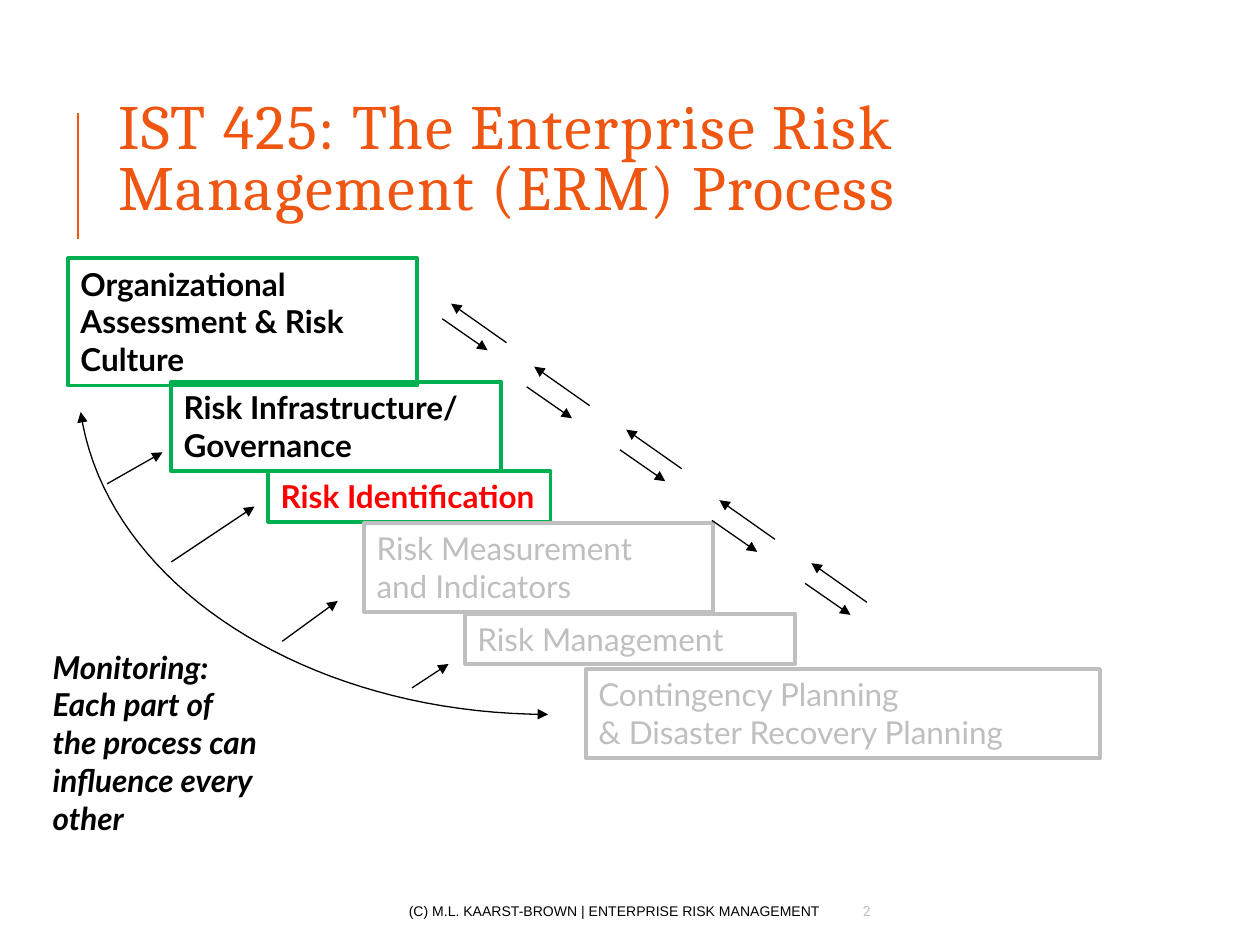
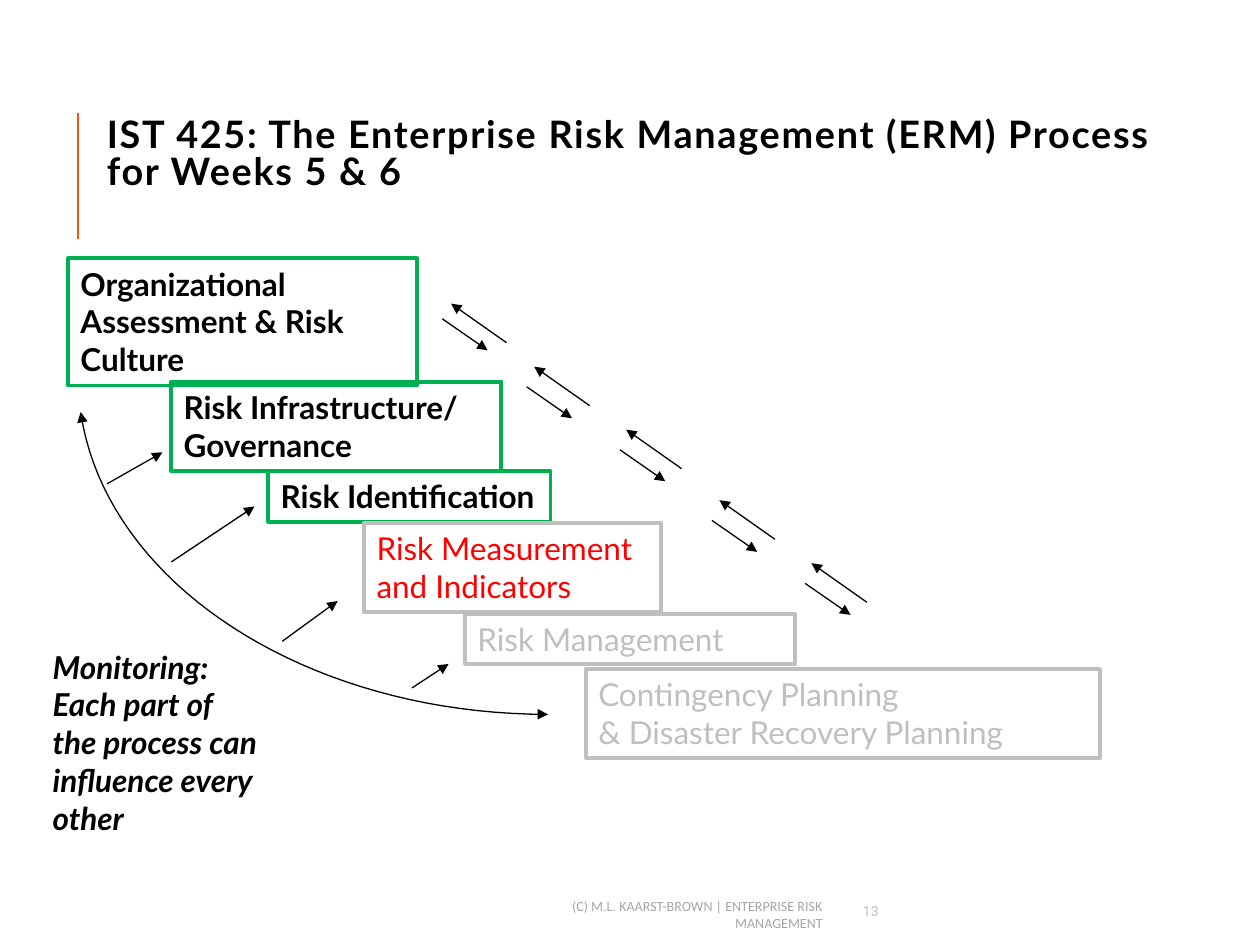
from dataclasses import dataclass
from lxml import etree
from pptx import Presentation, util as u
from pptx.dml.color import RGBColor
from pptx.enum import shapes, text
from pptx.oxml.ns import qn

Inches = u.Inches


@dataclass(frozen=True)
class Theme:
    accent: str = "EE5612"
    ink: str = "000000"
    done: str = "00B050"
    now: str = "FF0000"
    later: str = "BFBFBF"
    mute: str = "A6A6A6"
    body: str = "Lato"
    size: float = 18
    small: float = 8
    rule: float = 1.5
    frame: float = 2.25
    thin: float = 0.75


T = Theme()

STEPS = [
    (["Organizational", "Assessment & Risk Culture"], (0.54, 2.05, 2.77, 1.01)),
    (["Risk Infrastructure/", "Governance"], (1.36, 3.03, 2.62, 0.71)),
    (["Risk Identification"], (2.13, 3.74, 2.24, 0.4)),
    (["Risk Measurement", "and Indicators"], (2.89, 4.15, 2.77, 0.71)),
    (["Risk Management"], (3.69, 4.87, 2.62, 0.4)),
    (["Contingency Planning", "& Disaster Recovery Planning"], (4.65, 5.31, 4.08, 0.71)),
]
DONE = 3
NOTE = "Monitoring: Each part of the process can influence every other"
FOOT = "(C) M.L. KAARST-BROWN | ENTERPRISE RISK MANAGEMENT"
DOWN = [(3.51, 2.53), (4.18, 3.07), (4.92, 3.57), (5.65, 4.13), (6.39, 4.63)]
BACK = [(3.58, 2.41), (4.24, 2.91), (4.97, 3.41), (5.71, 3.97), (6.44, 4.47)]
FALL = (0.36, 0.25)
RISE = (0.44, 0.31)
SPOKES = [
    ((0.85, 3.84), (1.29, 3.59)),
    ((1.36, 4.46), (2.02, 4.02)),
    ((2.24, 5.09), (2.68, 4.77)),
    ((3.27, 5.46), (3.56, 5.27)),
]
CURVE = [(4.35, 5.67), (2.44, 5.67), (0.84, 4.64), (0.64, 3.27)]
BITS = 40

SLIDES = [
    dict(
        title="IST 425: The Enterprise Risk Management (ERM) Process",
        place=(0.84, 0.64, 7.97, 1.29),
        look=dict(size=36, font="Cambria", color=T.accent),
        foot=(1.89, 7.08, 4.72, 0.3),
        type=dict(font="Arial", color=T.ink),
        page="2", now=2, wide={},
    ),
    dict(
        title="IST 425: The Enterprise Risk Management (ERM) Process for Weeks 5 & 6",
        place=(0.75, 0.89, 8.94, 0.7),
        look=dict(size=21.6, bold=True),
        foot=(3.87, 7.08, 2.76, 0.36),
        type=dict(font="Calibri", color=T.mute),
        page="13", now=3, wide={3: 2.36},
    ),
]


def rgb(code):
    return RGBColor.from_string(code)


def write(shape, lines, size=T.size, font=T.body, color=T.ink, bold=False,
          slant=False, mid=False, right=False, lead=None, gap=None, wrap=True):
    frame = shape.text_frame
    frame.text = "\n".join(lines)
    frame.word_wrap = wrap
    frame.vertical_anchor = text.MSO_ANCHOR.MIDDLE if mid else text.MSO_ANCHOR.TOP
    for para in frame.paragraphs:
        para.alignment = text.PP_ALIGN.RIGHT if right else text.PP_ALIGN.LEFT
        if lead:
            para.line_spacing = lead
        for run in para.runs:
            f = run.font
            f.size, f.name, f.bold, f.italic = u.Pt(size), font, bold, slant
            f.color.rgb = rgb(color)
            if gap:
                f._element.set("spc", str(gap * 100))


def label(slide, place, lines, **look):
    box = slide.shapes.add_textbox(*map(Inches, place))
    write(box, lines, **look)


def stroke(shape, color, width, ends=()):
    shape.line.color.rgb = rgb(color)
    shape.line.width = u.Pt(width)
    ln = shape.line._get_or_add_ln()
    for end in ends:
        etree.SubElement(ln, qn(f"a:{end}"), type="triangle")


def link(slide, start, stop, color=T.ink, width=T.thin, ends=("tailEnd",)):
    line = slide.shapes.add_connector(
        shapes.MSO_CONNECTOR.STRAIGHT, *map(Inches, (*start, *stop)))
    stroke(line, color, width, ends)
    etree.SubElement(line._element.spPr, qn("a:effectLst"))


def shift(point, move):
    return point[0] + move[0], point[1] + move[1]


def bend(t):
    s = 1 - t
    parts = (s ** 3, 3 * s * s * t, 3 * s * t * t, t ** 3)
    return tuple(Inches(sum(w * p[i] for w, p in zip(parts, CURVE))) for i in (0, 1))


def sweep(slide):
    path = [bend(i / BITS) for i in range(BITS + 1)]
    pen = slide.shapes.build_freeform(*path[0])
    pen.add_line_segments(path[1:], close=False)
    arc = pen.convert_to_shape()
    arc.fill.background()
    arc.shadow.inherit = False
    stroke(arc, T.ink, T.thin, ("headEnd", "tailEnd"))


def stairs(slide, now, wide):
    for i, (lines, (x, y, w, h)) in enumerate(STEPS):
        done = i < DONE
        edge = T.done if done else T.later
        box = slide.shapes.add_shape(
            shapes.MSO_SHAPE.RECTANGLE, *map(Inches, (x, y, wide.get(i, w), h)))
        box.fill.background()
        box.shadow.inherit = False
        stroke(box, edge, T.frame)
        color = T.now if i == now else T.ink if done else T.later
        write(box, lines, color=color, bold=done, wrap=i < 2)


def build(deck, data):
    slide = deck.slides.add_slide(deck.slide_layouts[6])
    link(slide, (0.62, 1.9), (0.62, 0.9), T.accent, T.rule, ())
    label(slide, data["place"], [data["title"]], mid=True, lead=0.8, gap=1, **data["look"])
    label(slide, data["foot"], [FOOT], size=T.small, mid=True, right=True, **data["type"])
    label(slide, (6.75, 7.08, 0.91, 0.3), [data["page"]],
          size=T.small, font="Roboto", color=T.later, mid=True)
    stairs(slide, data["now"], data["wide"])
    sweep(slide)
    for start, tip in zip(DOWN, BACK):
        link(slide, start, shift(start, FALL))
        link(slide, shift(tip, RISE), tip)
    label(slide, (0.32, 5.09, 1.83, 1.62), [NOTE], bold=True, slant=True)
    for start, stop in SPOKES:
        link(slide, start, stop)


def main():
    deck = Presentation()
    deck.slide_width, deck.slide_height = Inches(10), Inches(7.5)
    for data in SLIDES:
        build(deck, data)
    deck.save("out.pptx")


if __name__ == "__main__":
    main()
